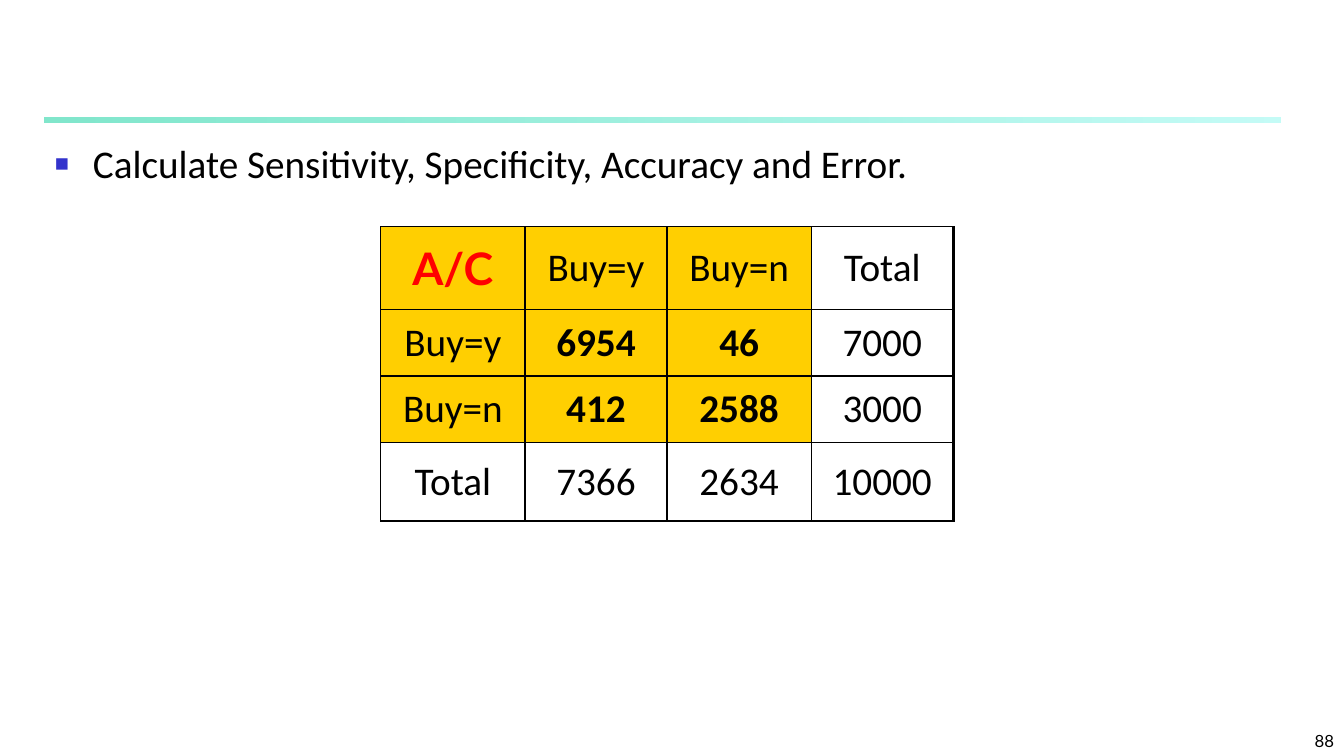
from dataclasses import dataclass

from lxml.etree import SubElement
from pptx import Presentation
from pptx.dml.color import RGBColor
from pptx.enum.shapes import MSO_SHAPE
from pptx.enum.text import MSO_ANCHOR, MSO_AUTO_SIZE, PP_ALIGN
from pptx.oxml.ns import qn
from pptx.slide import Slide
from pptx.table import _Cell
from pptx.text.text import _Paragraph
from pptx.util import Inches, Pt

WIDE, HIGH = Inches(13.33), Inches(7.5)
COLS, ROWS = 120, 90
HUES = {
    "ink": "000000",
    "red": "FF0000",
    "gold": "FFCF01",
    "blue": "3333CC",
    "green": "00CE98",
    "mint": "8FF9EF",
}
THIN, THICK = 1, 2.25


def across(count: float) -> int:
    return round(WIDE * count / COLS)


def down(count: float) -> int:
    return round(HIGH * count / ROWS)


def hue(name: str) -> RGBColor:
    return RGBColor.from_string(HUES[name])


@dataclass(frozen=True)
class Box:
    left: float
    top: float
    width: float
    height: float

    def spot(self) -> tuple[int, int, int, int]:
        return across(self.left), down(self.top), across(self.width), down(self.height)


@dataclass(frozen=True)
class Style:
    size: int = 28
    face: str = "Calibri"
    tint: str = "ink"
    bold: bool = False


@dataclass(frozen=True)
class Entry:
    text: str
    style: Style = Style()
    gold: bool = False


PLAIN, BOLD = Style(), Style(bold=True)
HEAD = Style(32, "Lato", "red", True)
SMALL = Style(12, "Lato")

WIDTHS = (12.87, 12.69, 12.87, 12.69)
HEIGHTS = (9.84, 7.92, 7.92, 9.36)
GRID = (
    (Entry("A/C", HEAD, True), Entry("Buy=y", PLAIN, True), Entry("Buy=n", PLAIN, True), Entry("Total")),
    (Entry("Buy=y", PLAIN, True), Entry("6954", BOLD, True), Entry("46", BOLD, True), Entry("7000")),
    (Entry("Buy=n", PLAIN, True), Entry("412", BOLD, True), Entry("2588", BOLD, True), Entry("3000")),
    (Entry("Total"), Entry("7366"), Entry("2634"), Entry("10000")),
)


def write(para: _Paragraph, text: str, style: Style, align: PP_ALIGN) -> None:
    para.text = text
    para.alignment = align
    font = para.font
    font.size, font.name, font.bold = Pt(style.size), style.face, style.bold
    font.color.rgb = hue(style.tint)


def draw_rule(slide: Slide, box: Box) -> None:
    rule = slide.shapes.add_shape(MSO_SHAPE.RECTANGLE, *box.spot())
    rule.shadow.inherit = False
    rule.line.fill.background()
    rule.fill.gradient()
    rule.fill.gradient_angle = 0
    for stop, name in zip(rule.fill.gradient_stops, ("green", "mint")):
        stop.color.rgb = hue(name)
    for tone, share in zip(rule._element.spPr.iter(qn("a:srgbClr")), (50, 52)):
        SubElement(tone, qn("a:alpha"), val=str(share * 1000))


def draw_list(slide: Slide, box: Box, text: str) -> None:
    body = slide.placeholders[1]
    body.left, body.top, body.width, body.height = box.spot()
    frame = body.text_frame
    frame.auto_size = MSO_AUTO_SIZE.NONE
    frame.vertical_anchor = MSO_ANCHOR.TOP
    para = frame.paragraphs[0]
    para.space_before = Pt(5.6)
    props = para._p.get_or_add_pPr()
    props.set("marL", str(across(3.4)))
    props.set("indent", str(-across(3.4)))
    SubElement(SubElement(props, qn("a:buClr")), qn("a:srgbClr"), val=HUES["blue"])
    SubElement(props, qn("a:buSzPct"), val="60000")
    SubElement(props, qn("a:buFont"), typeface="Arial")
    SubElement(props, qn("a:buChar"), char="■")
    write(para, text, PLAIN, PP_ALIGN.LEFT)


def draw_note(slide: Slide, box: Box, text: str) -> None:
    frame = slide.shapes.add_textbox(*box.spot()).text_frame
    frame.word_wrap = True
    frame.vertical_anchor = MSO_ANCHOR.BOTTOM
    write(frame.paragraphs[0], text, SMALL, PP_ALIGN.RIGHT)


def edge(cell: _Cell, right: float, base: float) -> None:
    props = cell._tc.get_or_add_tcPr()
    for side, width in (("L", THIN), ("R", right), ("T", THIN), ("B", base)):
        line = SubElement(props, qn(f"a:ln{side}"), w=str(Pt(width)))
        SubElement(SubElement(line, qn("a:solidFill")), qn("a:srgbClr"), val=HUES["ink"])


def fill_cell(cell: _Cell, entry: Entry) -> None:
    if entry.gold:
        cell.fill.solid()
        cell.fill.fore_color.rgb = hue("gold")
    else:
        cell.fill.background()
    cell.vertical_anchor = MSO_ANCHOR.MIDDLE
    cell.margin_top = cell.margin_bottom = down(0.5)
    write(cell.text_frame.paragraphs[0], entry.text, entry.style, PP_ALIGN.CENTER)


def draw_table(slide: Slide, left: float, top: float) -> None:
    box = Box(left, top, sum(WIDTHS), sum(HEIGHTS))
    table = slide.shapes.add_table(len(HEIGHTS), len(WIDTHS), *box.spot()).table
    table.first_row = table.horz_banding = False
    for col, width in zip(table.columns, WIDTHS):
        col.width = across(width)
    for row, height in zip(table.rows, HEIGHTS):
        row.height = down(height)
    for y, line in enumerate(GRID):
        for x, entry in enumerate(line):
            cell = table.cell(y, x)
            edge(cell, THICK if x == len(line) - 1 else THIN, THICK if y == len(GRID) - 1 else THIN)
            fill_cell(cell, entry)


def main() -> None:
    deck = Presentation()
    deck.slide_width, deck.slide_height = WIDE, HIGH
    slide = deck.slides.add_slide(deck.slide_layouts[1])
    title = slide.shapes.title._element
    title.getparent().remove(title)
    draw_rule(slide, Box(4, 14, 110.34, 0.6))
    draw_list(slide, Box(4, 16, 111, 69), "Calculate Sensitivity, Specificity, Accuracy and Error.")
    draw_note(slide, Box(95, 85, 25, 5), "88")
    draw_table(slide, 34, 27)
    deck.save("out.pptx")


if __name__ == "__main__":
    main()
